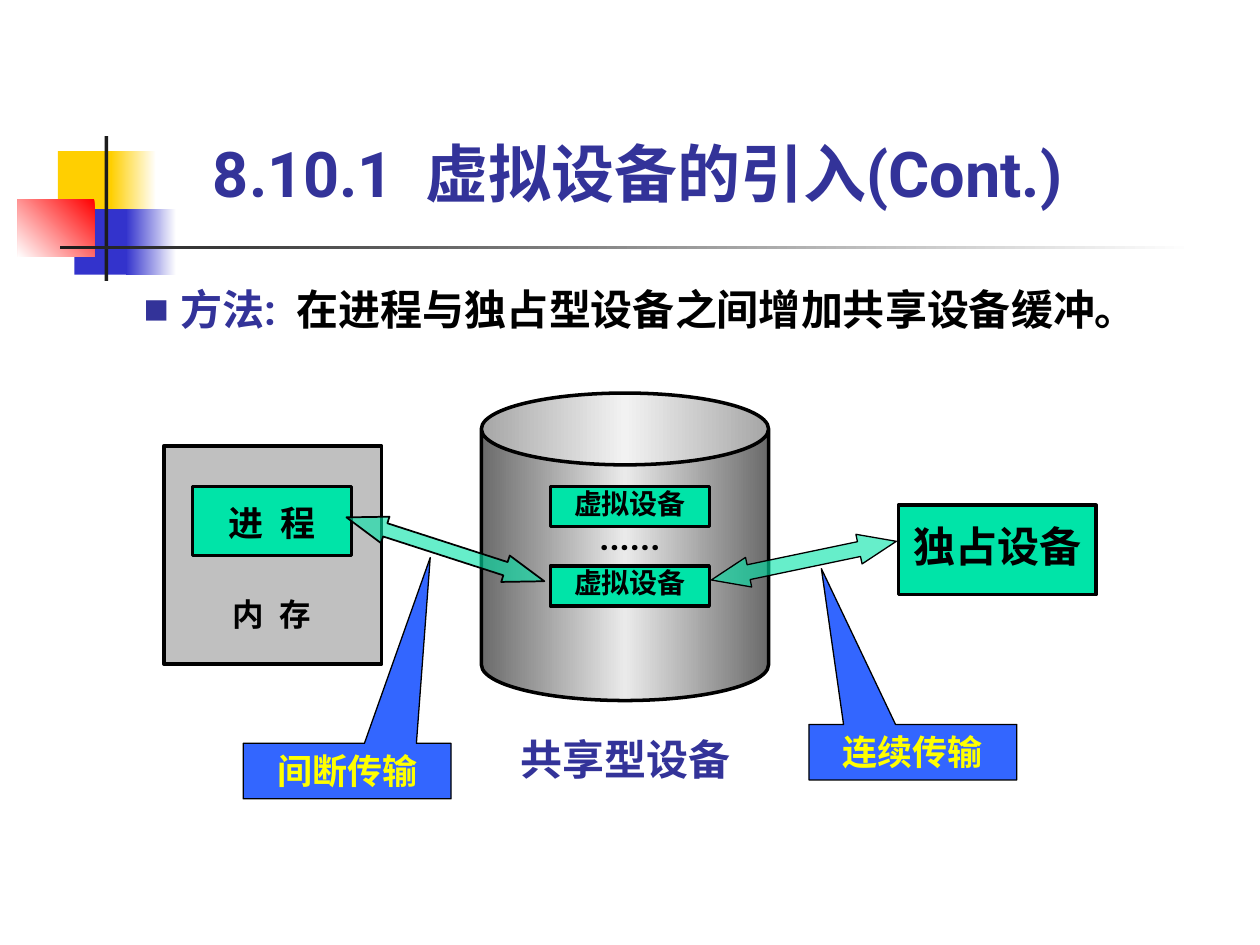
from lxml import etree
from pptx import Presentation
from pptx.dml.color import RGBColor
from pptx.enum.shapes import MSO_SHAPE
from pptx.enum.text import MSO_ANCHOR, MSO_AUTO_SIZE, PP_ALIGN
from pptx.oxml.ns import qn
from pptx.util import Inches, Pt

RECT, CAN = MSO_SHAPE.RECTANGLE, MSO_SHAPE.CAN
ARROW = MSO_SHAPE.LEFT_RIGHT_ARROW
CALL = MSO_SHAPE.RECTANGULAR_CALLOUT
TOP, MID = MSO_ANCHOR.TOP, MSO_ANCHOR.MIDDLE
LEFT, CENTER = PP_ALIGN.LEFT, PP_ALIGN.CENTER
NONE = MSO_AUTO_SIZE.NONE

THEME = {
    "font": "Roboto", "navy": "333399", "black": "000000", "white": "FFFFFF",
    "gold": "FFCF01", "blue": "3333CC", "red": "FF0000", "dark": "1C1C1C",
    "gray": "C0C0C0", "steel": "6B6B6B", "shine": "EAEAEA",
    "mint": "00E4A8", "call": "3366FF", "yellow": "FFFF00",
    "title": 36, "body": 24, "label": 20, "note": 18, "small": 16,
}

TITLE = [("8.10.1  虚拟设备的引入(Cont.)", "navy")]
BODY = [("方法:  ", "navy"), ("在进程与独占型设备之间增加共享设备缓冲。", "black")]
DECOR = [
    ((0.46, 1.2, 0.48, 0.52), ["gold"], 0),
    ((0.88, 1.2, 0.36, 0.52), ["white", "gold"], 180),
    ((0.59, 1.66, 0.46, 0.52), ["blue"], 0),
    ((1, 1.66, 0.4, 0.52), ["white", "blue"], 180),
    ((0.14, 1.58, 0.61, 0.46), ["red", "white"], 135),
    ((0.83, 1.08, 0.03, 1.15), ["dark"], 0),
    ((0.48, 1.95, 9, 0.03), ["white", "dark"], 180),
]
MEMORY = (1.3, 3.54, 1.73, 1.73)
DISK = (3.82, 3.12, 2.28, 2.44)
BOXES = [
    ((1.53, 3.86, 1.26, 0.55), "进  程", "label", 0.12),
    ((4.37, 3.86, 1.26, 0.32), "虚拟设备", "small", 0),
    ((4.37, 4.49, 1.26, 0.32), "虚拟设备", "small", 0),
    ((7.13, 4.01, 1.57, 0.71), "独占设备", "body", 0.12),
]
LABELS = [
    ((1.53, 4.72, 1.26, 0.3), "内  存", "note", "black"),
    ((3.9, 5.82, 2.13, 0.4), "共享型设备", "body", "navy"),
    ((4.37, 4.09, 1.26, 0.33), "......", "label", "black"),
]
ARROWS = [
    ((2.71, 4.25, 1.65, 0.22), 17.9, 1.47, 1),
    ((5.63, 4.33, 1.5, 0.24), 348.2, 1.26, 0.75),
]
CALLS = [
    ((1.93, 5.9, 1.65, 0.44), "间断传输", (0.4, -3.85)),
    ((6.42, 5.75, 1.65, 0.44), "连续传输", (-0.44, -3.31)),
]


def color(name):
    return RGBColor.from_string(THEME[name])


def place(shape, box):
    shape.left, shape.top, shape.width, shape.height = map(Inches, box)


def blend(shape, names, angle):
    shape.fill.gradient()
    grad = shape._element.spPr.find(qn("a:gradFill"))
    stops = grad.find(qn("a:gsLst"))
    for stop in list(stops):
        stops.remove(stop)
    for i, name in enumerate(names):
        pos = 100000 * i // (len(names) - 1)
        stop = etree.SubElement(stops, qn("a:gs"), pos=str(pos))
        etree.SubElement(stop, qn("a:srgbClr"), val=THEME[name])
    line = grad.find(qn("a:lin"))
    line.set("ang", str(angle * 60000))
    line.set("scaled", "0")


def draw(slide, kind, box, names, angle=0, line=None):
    shape = slide.shapes.add_shape(kind, *map(Inches, box))
    shape.shadow.inherit = False
    if len(names) > 1:
        blend(shape, names, angle)
    else:
        shape.fill.solid()
        shape.fill.fore_color.rgb = color(names[0])
    if line:
        shape.line.color.rgb = color("black")
        shape.line.width = Pt(line)
    else:
        shape.line.fill.background()
    return shape


def write(shape, runs, size, align=CENTER, anchor=TOP, inset=(0, 0, 0, 0)):
    frame = shape.text_frame
    frame.word_wrap = True
    frame.auto_size = NONE
    frame.vertical_anchor = anchor
    (frame.margin_left, frame.margin_top,
     frame.margin_right, frame.margin_bottom) = map(Inches, inset)
    para = frame.paragraphs[0]
    para.alignment = align
    para.space_before = Pt(0)
    for text, ink in runs:
        run = para.add_run()
        run.text = text
        font = run.font
        font.name = THEME["font"]
        font.size = Pt(THEME[size])
        font.bold = True
        font.color.rgb = color(ink)
        props = run._r.get_or_add_rPr()
        etree.SubElement(props, qn("a:ea"), typeface=THEME["font"])
    return para


def bullet(para):
    props = para._p.get_or_add_pPr()
    indent = Inches(0.29)
    props.set("marL", str(indent))
    props.set("indent", str(-indent))
    ink = etree.SubElement(props, qn("a:buClr"))
    etree.SubElement(ink, qn("a:srgbClr"), val=THEME["navy"])
    etree.SubElement(props, qn("a:buChar"), char="■")


def main():
    deck = Presentation()
    deck.slide_width, deck.slide_height = Inches(10), Inches(7.5)
    slide = deck.slides.add_slide(deck.slide_layouts[1])
    title, body = slide.placeholders
    place(title, (1.69, 1.07, 7.64, 0.6))
    write(title, TITLE, "title", LEFT, MID)
    place(body, (1.14, 2.25, 8.03, 0.8))
    bullet(write(body, BODY, "body", LEFT))

    for box, names, angle in DECOR:
        draw(slide, RECT, box, names, angle)
    draw(slide, RECT, MEMORY, ["gray"], line=2)
    disk = draw(slide, CAN, DISK, ["steel", "shine", "steel"], 180, 2)
    disk.adjustments[0] = 0.25

    for box, text, size, inset in BOXES:
        shape = draw(slide, RECT, box, ["mint"], line=2)
        write(shape, [(text, "black")], size, inset=(0, inset, 0, 0))
    for box, text, size, ink in LABELS:
        label = slide.shapes.add_textbox(*map(Inches, box))
        write(label, [(text, ink)], size)

    for box, turn, head, line in ARROWS:
        arrow = draw(slide, ARROW, box, ["mint"], line=line)
        arrow.rotation = turn
        arrow.adjustments[0], arrow.adjustments[1] = 0.5, head
        fill = arrow._element.spPr.find(qn("a:solidFill"))
        etree.SubElement(fill[0], qn("a:alpha"), val="60000")

    for box, text, tip in CALLS:
        call = draw(slide, CALL, box, ["call"], line=0.75)
        call.adjustments[0], call.adjustments[1] = tip
        write(call, [(text, "yellow")], "label", inset=(0.1, 0.05, 0.1, 0.05))

    deck.save("out.pptx")


if __name__ == "__main__":
    main()
